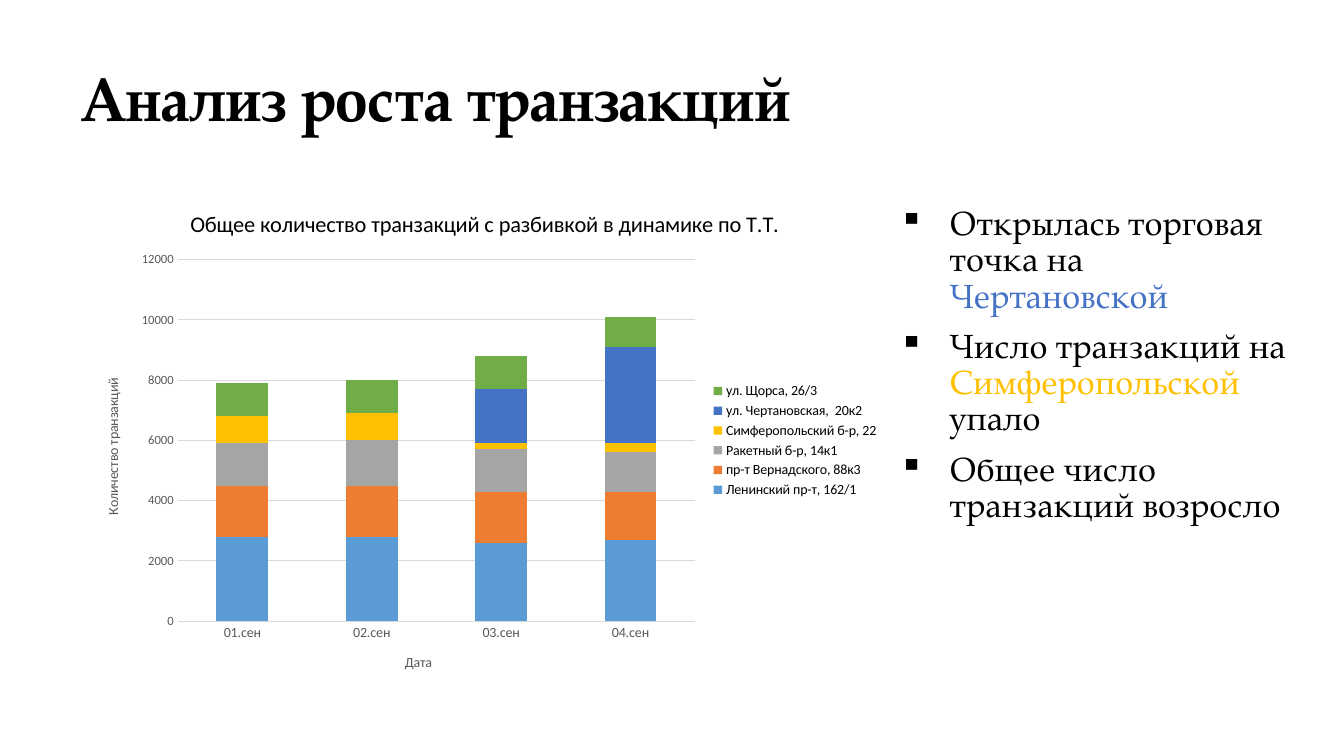
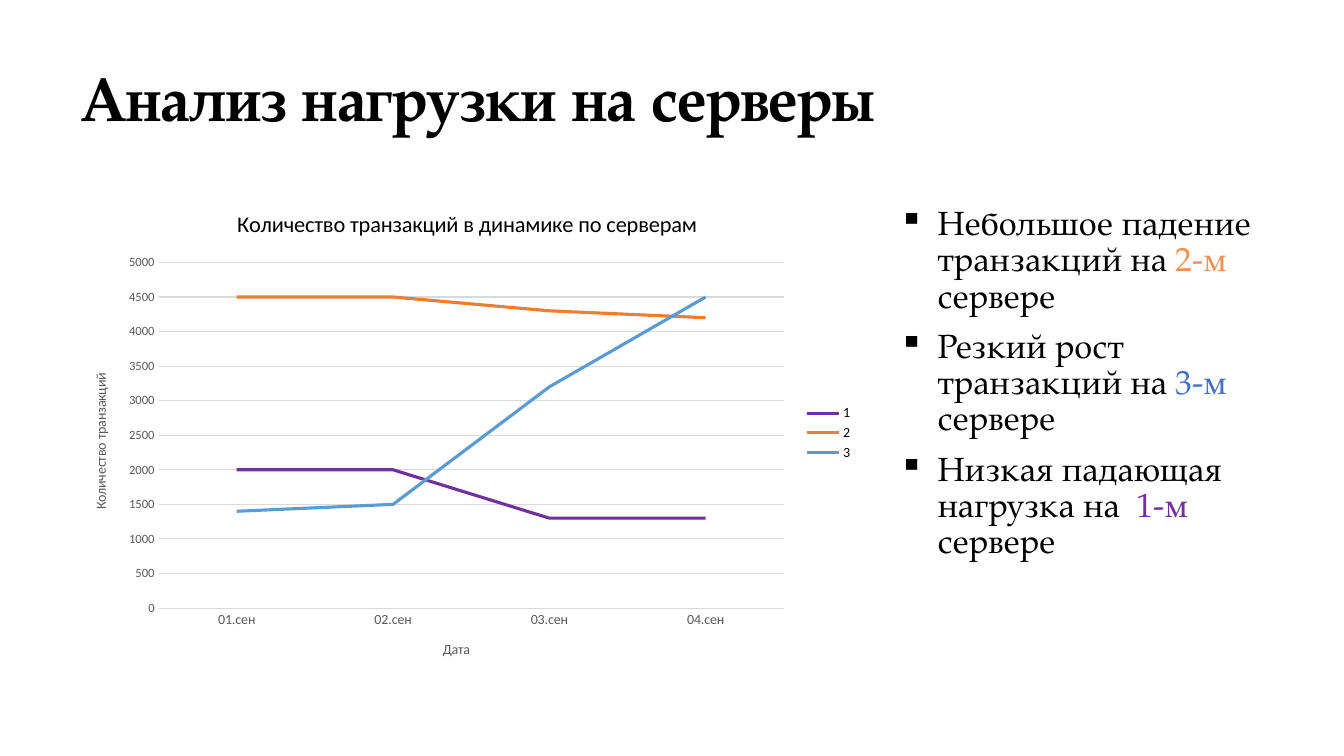
import pptx
import pptx.chart.data
import pptx.dml.color
import pptx.enum.chart
import pptx.enum.text
import pptx.oxml
import pptx.oxml.ns
import pptx.util

PX = 9144
TEXT_FONT = "TeX Gyre Pagella"
CHART_FONT = "Calibri"
BLACK, GREY, RULE = "000000", "595959", "D9D9D9"
SKY, ORANGE, SILVER = "5B9BD5", "ED7D31", "A5A5A5"
GOLD, BLUE, GREEN, PURPLE, PEACH = "FFC000", "4472C4", "70AD47", "7030A0", "F09253"
DAYS = ["01.сен", "02.сен", "03.сен", "04.сен"]
CHART_TYPES = pptx.enum.chart.XL_CHART_TYPE


def color(value):
    return pptx.dml.color.RGBColor.from_string(value)


def element(tag, **attributes):
    node = pptx.oxml.parse_xml(f"<{tag} {pptx.oxml.ns.nsdecls(tag.split(':')[0])}/>")
    for name, value in attributes.items():
        node.set(name, str(value))
    return node


class Deck:
    """Holds the presentation style and the current slide."""

    def __init__(self):
        self.presentation = pptx.Presentation()
        self.presentation.slide_width = 1333 * PX
        self.presentation.slide_height = 750 * PX
        self.slide = None

    def new_slide(self, heading):
        self.slide = self.presentation.slides.add_slide(self.presentation.slide_layouts[6])
        frame = self.text_frame(71, 28, 1150, 145)
        frame.vertical_anchor = pptx.enum.text.MSO_ANCHOR.MIDDLE
        frame.text = heading
        frame.paragraphs[0].line_spacing = 0.9
        self.style(frame.paragraphs[0].runs[0].font, 44, BLACK, TEXT_FONT, True)

    def text_frame(self, left, top, width, height):
        box = self.slide.shapes.add_textbox(left * PX, top * PX, width * PX, height * PX)
        box.text_frame.word_wrap = True
        return box.text_frame

    def style(self, font, size, tone, face=CHART_FONT, bold=False):
        font.size = pptx.util.Pt(size)
        font.color.rgb = color(tone)
        font.name = face
        font.bold = bold

    def findings(self, indent, points):
        frame = self.text_frame(882, 200, 411, 476)
        for index, point in enumerate(points):
            paragraph = frame.add_paragraph() if index else frame.paragraphs[0]
            properties = paragraph._p.get_or_add_pPr()
            properties.set("marL", str(indent * PX))
            properties.set("indent", str(-indent * PX))
            properties.append(element("a:buChar", char="▪"))
            paragraph.line_spacing = 0.9
            paragraph.space_before = pptx.util.Pt(10 if index else 0)
            for words, tone in point:
                run = paragraph.add_run()
                run.text = words
                self.style(run.font, 24, tone, TEXT_FONT)

    def chart(self, kind, box, plot_area, heading, series):
        data = pptx.chart.data.CategoryChartData()
        data.categories = DAYS
        for name, _, values in series:
            data.add_series(name, values)
        chart = self.slide.shapes.add_chart(kind, *(n * PX for n in box), data).chart
        self.style(chart.font, 10, BLACK)
        chart.has_title = True
        self.caption(chart.chart_title, heading, 16, BLACK)
        chart.has_legend = True
        chart.legend.position = pptx.enum.chart.XL_LEGEND_POSITION.RIGHT
        chart.legend.include_in_layout = False
        self.style(chart.legend.font, 10, BLACK)
        self.axis(chart.category_axis, "Дата", 10)
        self.axis(chart.value_axis, "Количество транзакций", 9)
        self.rule(chart.category_axis.format.line)
        chart.value_axis.format.line.fill.background()
        chart.value_axis.has_major_gridlines = True
        self.rule(chart.value_axis.major_gridlines.format.line)
        self.place_plot(chart, plot_area)
        plot = chart.plots[0]
        plot.vary_by_categories = False
        if kind == CHART_TYPES.COLUMN_STACKED:
            plot.gap_width, plot.overlap = 150, 100
        for drawn, (_, tone, _) in zip(plot.series, series):
            if kind == CHART_TYPES.LINE:
                drawn.smooth = False
                drawn.format.line.color.rgb = color(tone)
                drawn.format.line.width = pptx.util.Pt(2.25)
            else:
                drawn.format.fill.solid()
                drawn.format.fill.fore_color.rgb = color(tone)

    def caption(self, title, words, size, tone):
        title.text_frame.text = words
        self.style(title.text_frame.paragraphs[0].runs[0].font, size, tone)

    def axis(self, axis, words, size):
        axis.has_title = True
        self.caption(axis.axis_title, words, 10, GREY)
        axis.major_tick_mark = pptx.enum.chart.XL_TICK_MARK.NONE
        axis.minor_tick_mark = pptx.enum.chart.XL_TICK_MARK.NONE
        self.style(axis.tick_labels.font, size, GREY)

    def rule(self, line):
        line.color.rgb = color(RULE)
        line.width = pptx.util.Pt(0.75)

    def place_plot(self, chart, shares):
        area = chart.element.find(".//" + pptx.oxml.ns.qn("c:plotArea"))
        for automatic in area.findall(pptx.oxml.ns.qn("c:layout")):
            area.remove(automatic)
        layout, manual = element("c:layout"), element("c:manualLayout")
        manual.append(element("c:layoutTarget", val="inner"))
        for tag in ("c:xMode", "c:yMode"):
            manual.append(element(tag, val="edge"))
        for tag, share in zip(("c:x", "c:y", "c:w", "c:h"), shares):
            manual.append(element(tag, val=share))
        layout.append(manual)
        area.insert(0, layout)


def main():
    deck = Deck()
    deck.new_slide("Анализ роста транзакций")
    deck.findings(50, [
        [("Открылась торговая точка на ", BLACK), ("Чертановской", BLUE)],
        [("Число транзакций на ", BLACK), ("Симферопольской ", GOLD), ("упало", BLACK)],
        [("Общее число транзакций возросло", BLACK)],
    ])
    deck.chart(
        CHART_TYPES.COLUMN_STACKED, (80, 188, 802, 498), (0.12, 0.14, 0.64, 0.72),
        "Общее количество транзакций с разбивкой в динамике по Т.Т.", [
            ("Ленинский пр-т, 162/1", SKY, (2800, 2800, 2600, 2700)),
            ("пр-т Вернадского, 88к3", ORANGE, (1700, 1700, 1700, 1600)),
            ("Ракетный б-р, 14к1", SILVER, (1400, 1500, 1400, 1300)),
            ("Симферопольский б-р, 22", GOLD, (900, 900, 200, 300)),
            ("ул. Чертановская,  20к2", BLUE, (None, None, 1800, 3200)),
            ("ул. Щорса, 26/3", GREEN, (1100, 1100, 1100, 1000)),
        ])

    deck.new_slide("Анализ нагрузки на серверы")
    deck.findings(38, [
        [("Небольшое падение транзакций на ", BLACK), ("2-м", PEACH), (" сервере", BLACK)],
        [("Резкий рост транзакций на ", BLACK), ("3-м ", BLUE), ("сервере", BLACK)],
        [("Низкая падающая нагрузка на  ", BLACK), ("1-м ", PURPLE), ("сервере", BLACK)],
    ])
    deck.chart(
        CHART_TYPES.LINE, (71, 188, 785, 483), (0.11, 0.15, 0.79, 0.71),
        "Количество транзакций в динамике по серверам", [
            ("1", PURPLE, (2000, 2000, 1300, 1300)),
            ("2", ORANGE, (4500, 4500, 4300, 4200)),
            ("3", SKY, (1400, 1500, 3200, 4500)),
        ])
    deck.presentation.save("out.pptx")


if __name__ == "__main__":
    main()
